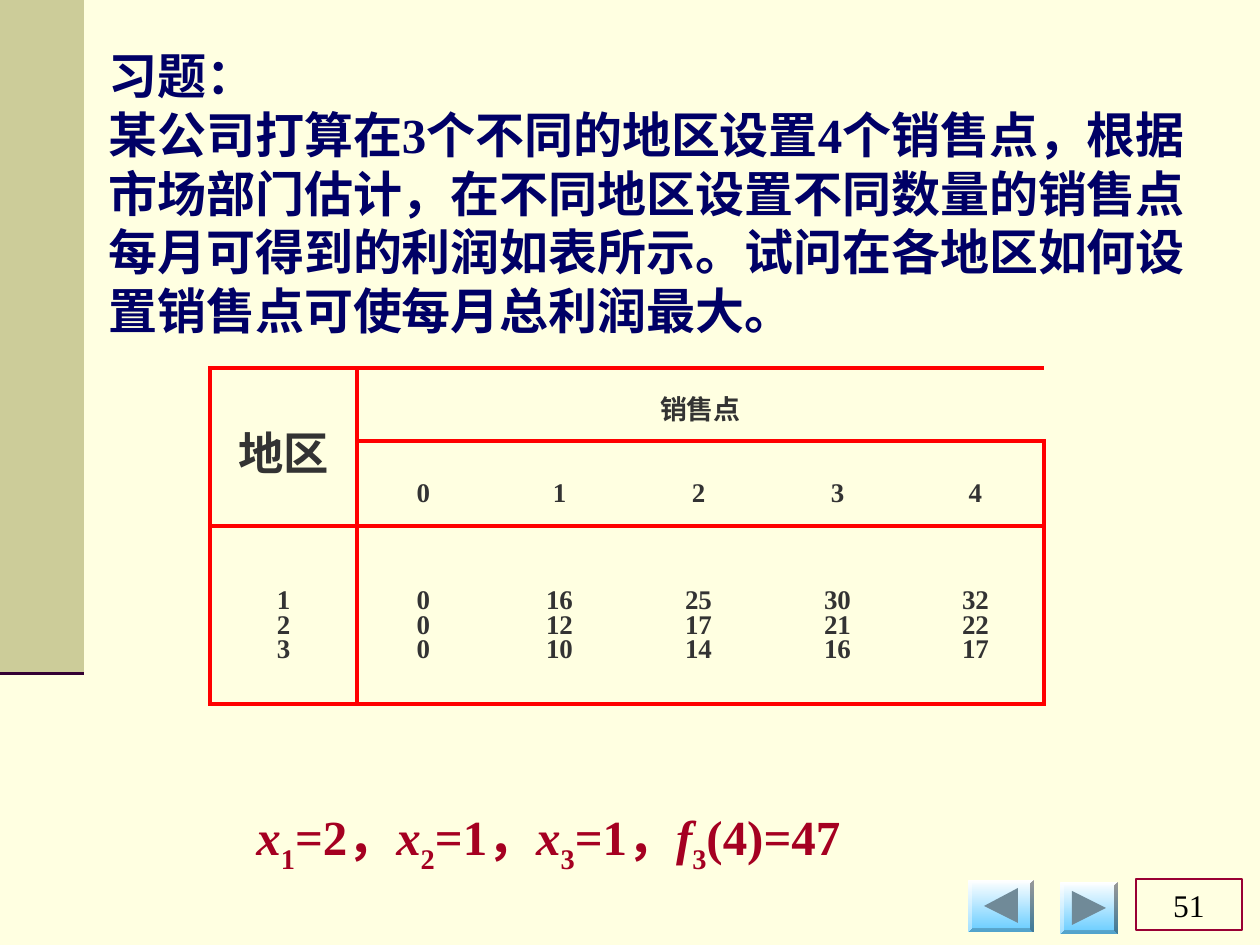
from lxml import etree
from pptx import Presentation
from pptx.dml.color import RGBColor
from pptx.enum.shapes import MSO_CONNECTOR, MSO_SHAPE
from pptx.enum.text import MSO_ANCHOR, PP_ALIGN
from pptx.oxml.ns import qn
from pptx.util import Pt

RECTANGLE, BEVEL = MSO_SHAPE.RECTANGLE, MSO_SHAPE.BEVEL
STRAIGHT = MSO_CONNECTOR.STRAIGHT
TOP, MIDDLE, BOTTOM = MSO_ANCHOR.TOP, MSO_ANCHOR.MIDDLE, MSO_ANCHOR.BOTTOM
CENTER = PP_ALIGN.CENTER

THEME = {
    "background": "FFFFE1", "bar": "CCCC99", "bar_line": "330033",
    "question": "000066", "cell": "333333", "grid": "FF0000",
    "answer": "A50021", "number": "000000", "number_line": "990033",
    "button_top": "FFFFFF", "button_bottom": "66CCFF", "arrow": "708A98",
    "latin": "Times New Roman", "chinese": "Noto Sans CJK SC",
    "body_size": 28, "region_size": 25.9, "cell_size": 15.4, "number_size": 18,
}
EMU_PER_PX = 914400 / 126


def px(*lengths):
    values = [round(length * EMU_PER_PX) for length in lengths]
    return values[0] if len(values) == 1 else values


def set_font(font, color, size, name="latin", bold=True):
    font.size = Pt(THEME[size])
    font.bold = bold
    font.color.rgb = RGBColor.from_string(THEME[color])
    font.name = THEME[name]
    east_asian = etree.Element(qn("a:ea"), typeface=THEME["chinese"])
    font._element.find(qn("a:latin")).addnext(east_asian)


presentation = Presentation()
presentation.slide_width, presentation.slide_height = px(1260, 945)
slide = presentation.slides.add_slide(presentation.slide_layouts[6])
slide.background.fill.solid()
slide.background.fill.fore_color.rgb = RGBColor.from_string(THEME["background"])
shapes = slide.shapes

bar_line = shapes.add_connector(STRAIGHT, *px(0, 672, 84, 672))
bar_line.line.color.rgb = RGBColor.from_string(THEME["bar_line"])
bar_line.line.width = Pt(3.5)
etree.SubElement(bar_line._element.spPr, qn("a:effectLst"))

bar = shapes.add_shape(RECTANGLE, *px(0, 0, 84, 672))
bar.shadow.inherit = False
bar.fill.solid()
bar.fill.fore_color.rgb = RGBColor.from_string(THEME["bar"])
bar.line.fill.background()

buttons = [
    ((968, 880, 66, 52), [(984, 906), (1018, 888), (1018, 923)]),
    ((1060, 882, 58, 52), [(1072, 891), (1106, 908), (1072, 925)]),
]
for box, corners in buttons:
    button = shapes.add_shape(BEVEL, *px(*box))
    button.adjustments[0] = 0.07
    button.fill.gradient()
    button.fill.gradient_angle = 270
    for stop, color in zip(button.fill.gradient_stops, ("button_top", "button_bottom")):
        stop.color.rgb = RGBColor.from_string(THEME[color])
    builder = shapes.build_freeform(*px(*corners[0]))
    builder.add_line_segments([px(*corner) for corner in corners[1:]])
    arrow = builder.convert_to_shape()
    arrow.fill.solid()
    arrow.fill.fore_color.rgb = RGBColor.from_string(THEME["arrow"])
    for part in (button, arrow):
        part.shadow.inherit = False
        part.line.fill.background()

number_box = shapes.add_shape(RECTANGLE, *px(1136, 879, 106, 51))
number_box.shadow.inherit = False
number_box.fill.background()
number_box.line.color.rgb = RGBColor.from_string(THEME["number_line"])
number_box.line.width = Pt(0.75)
number_box.text_frame.vertical_anchor = MIDDLE
paragraph = number_box.text_frame.paragraphs[0]
paragraph.text = "51"
paragraph.alignment = CENTER
set_font(paragraph.font, "number", "number_size", bold=False)

question = [
    [("习题：", "chinese")],
    [
        ("某公司打算在", "chinese"), ("3", "latin"),
        ("个不同的地区设置", "chinese"), ("4", "latin"),
        ("个销售点，根据市场部门估计，在不同地区设置不同数量的销售点"
         "每月可得到的利润如表所示。试问在各地区如何设置销售点可使每月总利润最大。", "chinese"),
    ],
]
question_frame = shapes.add_textbox(*px(96, 35, 1114, 307)).text_frame
question_frame.word_wrap = True
question_frame.margin_top = px(11)
for index, pieces in enumerate(question):
    paragraph = question_frame.add_paragraph() if index else question_frame.paragraphs[0]
    paragraph.line_spacing = Pt(33.5)
    for text, name in pieces:
        run = paragraph.add_run()
        run.text = text
        set_font(run.font, "question", "body_size", name)

rows = [
    ["地区", "销售点", "", "", "", ""],
    ["", "0", "1", "2", "3", "4"],
    ["1", "0", "16", "25", "30", "32"],
    ["2", "0", "12", "17", "21", "22"],
    ["3", "0", "10", "14", "16", "17"],
]
row_heights = [73, 85, 88, 26, 64]
column_widths = [147, 133, 139, 139, 139, 137]
row_anchors = [MIDDLE, MIDDLE, BOTTOM, MIDDLE, TOP]
row_margins = [12, 24, 0, 0, 0]
table = shapes.add_table(5, 6, *px(210, 368, 834, 336)).table
table.first_row = table.horz_banding = False
for row, height in zip(table.rows, row_heights):
    row.height = px(height)
for column, width in zip(table.columns, column_widths):
    column.width = px(width)
table.cell(0, 0).merge(table.cell(1, 0))
table.cell(0, 1).merge(table.cell(0, 5))

for row, texts in enumerate(rows):
    for column, text in enumerate(texts):
        cell = table.cell(row, column)
        cell.vertical_anchor = row_anchors[row]
        cell.margin_top, cell.margin_bottom = px(row_margins[row], 0)
        edges = {
            "a:lnL": column in (0, 1),
            "a:lnR": column in (0, 5),
            "a:lnT": row in (0, 2) or (row == 1 and column > 0),
            "a:lnB": row in (1, 4) or (row == 0 and column > 0),
        }
        for tag, visible in edges.items():
            border = etree.SubElement(cell._tc.get_or_add_tcPr(), qn(tag), w=str(Pt(2.25)))
            fill = etree.SubElement(border, qn("a:solidFill" if visible else "a:noFill"))
            if visible:
                etree.SubElement(fill, qn("a:srgbClr"), val=THEME["grid"])
        cell.fill.background()
        if text:
            is_region = text == "地区"
            paragraph = cell.text_frame.paragraphs[0]
            paragraph.text = text
            paragraph.alignment = CENTER
            paragraph.line_spacing = 0.9 if is_region else 0.8
            set_font(paragraph.font, "cell", "region_size" if is_region else "cell_size")

answer_frame = shapes.add_textbox(*px(0, 800, 1260, 82)).text_frame
answer_frame.word_wrap = True
paragraph = answer_frame.paragraphs[0]
paragraph._p.get_or_add_pPr().set("marL", str(px(244)))
paragraph._p.get_or_add_pPr().set("indent", "0")
set_font(paragraph.font, "answer", "body_size")
terms = [("x", "1", "=2，"), ("x", "2", "=1，"), ("x", "3", "=1，"), ("f", "3", "(4)=47")]
for variable, subscript, value in terms:
    for text in (variable, subscript, value):
        run = paragraph.add_run()
        run.text = text
        run.font.italic = text is variable
        if text is subscript:
            run.font._element.set("baseline", "-30000")

presentation.save("out.pptx")
